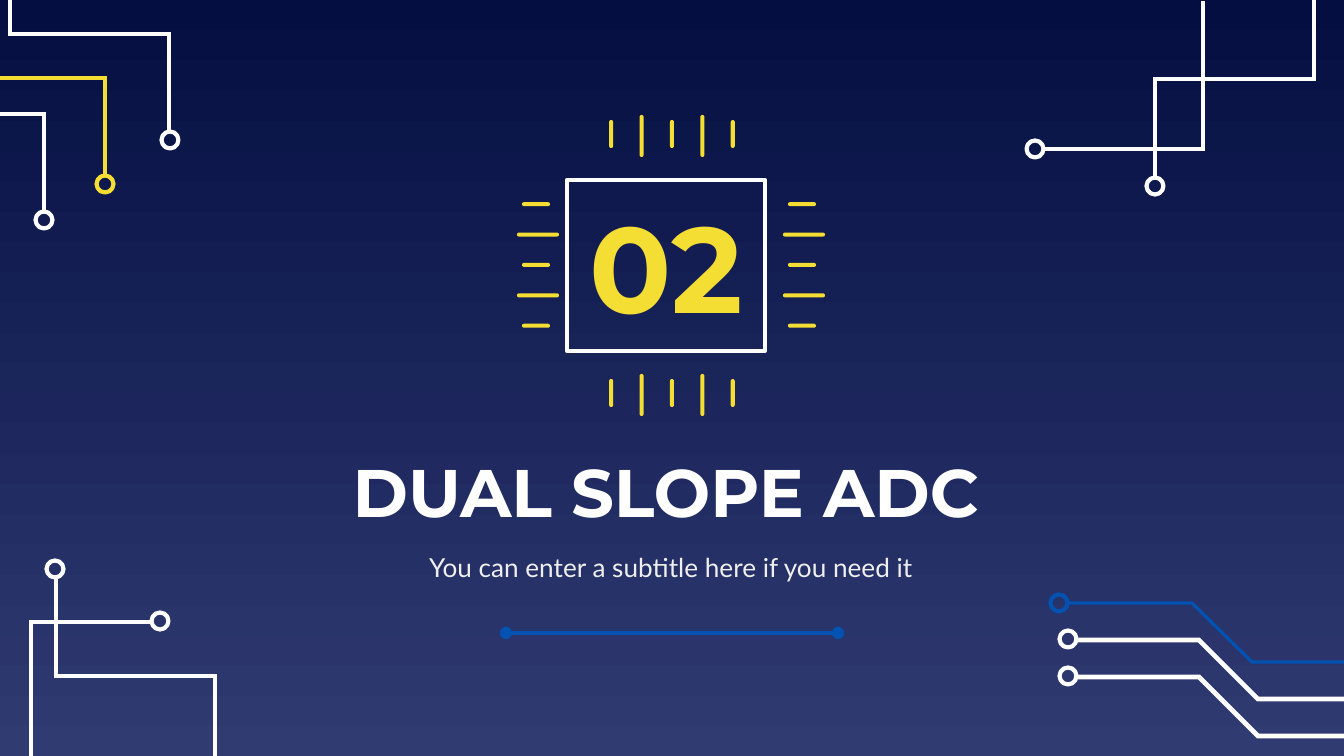
"""Build the circuit-themed section slide for the dual slope ADC."""
from lxml import etree
from pptx import Presentation
from pptx.dml.color import RGBColor
from pptx.enum.shapes import MSO_CONNECTOR, MSO_SHAPE
from pptx.enum.text import MSO_ANCHOR, MSO_AUTO_SIZE, PP_ALIGN
from pptx.oxml.ns import qn
from pptx.util import Emu, Pt

SCALE = 914400 / 134.4
WIDTH, HEIGHT = 1344, 756
RECTANGLE, PILL, OVAL = MSO_SHAPE.RECTANGLE, MSO_SHAPE.ROUNDED_RECTANGLE, MSO_SHAPE.OVAL
STRAIGHT = MSO_CONNECTOR.STRAIGHT
MIDDLE, CENTER, NO_FIT = MSO_ANCHOR.MIDDLE, PP_ALIGN.CENTER, MSO_AUTO_SIZE.NONE

WHITE, YELLOW, BLUE, PALE = "FFFFFF", "F5DE34", "0152B1", "EFEFEF"
BACKGROUND = ["040E41", "303B72"]
LINE = 2.25

TITLE = ("DUAL SLOPE ADC", (296, 446, 740, 90))
SUBTITLE = ("You can enter a subtitle here if you need it", (368, 536, 606, 62))
NUMBER = ("02", (567, 180, 198, 171))
DIVIDER = ((506, 633), (838, 633))

TRACES = [
    (BLUE, 1.75, (1059, 603), [(1068, 603), (1192, 603), (1252, 662), (WIDTH, 662)]),
    (WHITE, 2.5, (1068, 639), [(1075, 640), (1199, 640), (1258, 699), (WIDTH, 699)]),
    (WHITE, 2.5, (1068, 676), [(1075, 677), (1199, 677), (1258, 736), (WIDTH, 736)]),
    (WHITE, LINE, (55, 569), [(56, 576), (56, 676), (215, 676), (215, HEIGHT)]),
    (WHITE, LINE, (160, 621), [(152, 622), (31, 622), (31, HEIGHT)]),
    (WHITE, LINE, (1035, 149), [(1042, 149), (1203, 149), (1203, 1)]),
    (WHITE, LINE, (1155, 186), [(1155, 179), (1155, 79), (1314, 79), (1314, 0)]),
    (WHITE, LINE, (44, 220), [(44, 213), (44, 114), (0, 114)]),
    (YELLOW, LINE, (105, 184), [(105, 177), (105, 78), (0, 78)]),
    (WHITE, LINE, (170, 140), [(169, 133), (169, 34), (10, 34), (10, 0)]),
]
RING = 17

PIN_LENGTHS = [28, 42, 28, 42, 28]
PIN_WIDTH, PIN_PITCH, SHORT_SHIFT = 4, 30.4, 2
PIN_ROWS = [("upright", 672, 136), ("upright", 672, 395),
            ("flat", 538, 265), ("flat", 804, 265)]


def px(value):
    return Emu(round(value * SCALE))


def color(value):
    return RGBColor.from_string(value)


def set_line(line, value, width):
    line.color.rgb = color(value)
    line.width = Pt(width)


def add_shape(page, kind, box, fill=None, outline=None):
    shape = page.shapes.add_shape(kind, *map(px, box))
    shape.shadow.inherit = False
    if fill:
        shape.fill.solid()
        shape.fill.fore_color.rgb = color(fill)
    else:
        shape.fill.background()
    if outline:
        set_line(shape.line, outline, LINE)
    else:
        shape.line.fill.background()
    return shape


def write(shape, text, size, font, ink, bold=False):
    frame = shape.text_frame
    frame.auto_size = NO_FIT
    frame.word_wrap = True
    frame.vertical_anchor = MIDDLE
    frame.margin_left = frame.margin_right = px(13)
    frame.margin_top = frame.margin_bottom = px(13)
    para = frame.paragraphs[0]
    para.alignment = CENTER
    para.space_before = Pt(0)
    span = para.add_run()
    span.text = text
    span.font.size = Pt(size)
    span.font.name = font
    span.font.bold = bold
    span.font.color.rgb = color(ink)


def place(shape, box):
    shape.left, shape.top, shape.width, shape.height = map(px, box)


def add_trace(page, ink, width, ring, points):
    builder = page.shapes.build_freeform(*points[0], scale=SCALE)
    builder.add_line_segments(points[1:], close=False)
    trace = builder.convert_to_shape()
    trace.shadow.inherit = False
    trace.fill.background()
    set_line(trace.line, ink, width)
    etree.SubElement(trace.line._get_or_add_ln(), qn("a:miter"), lim="800000")
    x, y = ring
    add_shape(page, OVAL, (x - RING / 2, y - RING / 2, RING, RING), outline=ink)


def add_pins(page, direction, x, y):
    for index, length in enumerate(PIN_LENGTHS):
        offset = (index - 2) * PIN_PITCH
        shift = SHORT_SHIFT if length < max(PIN_LENGTHS) else 0
        if direction == "upright":
            left, top, width, height = x + offset, y - shift, PIN_WIDTH, length
        else:
            left, top, width, height = x - shift, y + offset, length, PIN_WIDTH
        box = (left - width / 2, top - height / 2, width, height)
        add_shape(page, PILL, box, fill=YELLOW).adjustments[0] = 0.5


def add_divider(page):
    (x1, y1), (x2, y2) = DIVIDER
    divider = page.shapes.add_connector(STRAIGHT, px(x1), px(y1), px(x2), px(y2))
    set_line(divider.line, BLUE, LINE)
    for end in ("a:headEnd", "a:tailEnd"):
        etree.SubElement(divider.line._get_or_add_ln(), qn(end), type="oval")
    etree.SubElement(divider._element.spPr, qn("a:effectLst"))


def main():
    deck = Presentation()
    deck.slide_width, deck.slide_height = px(WIDTH), px(HEIGHT)
    page = deck.slides.add_slide(deck.slide_layouts[0])

    fill = page.background.fill
    fill.gradient()
    fill.gradient_angle = 270
    for position, (stop, value) in enumerate(zip(fill.gradient_stops, BACKGROUND)):
        stop.position = position
        stop.color.rgb = color(value)

    for trace in TRACES:
        add_trace(page, *trace)
    for row in PIN_ROWS:
        add_pins(page, *row)
    add_divider(page)

    text, box = TITLE
    place(page.shapes.title, box)
    write(page.shapes.title, text, 36, "Montserrat", WHITE, bold=True)
    text, box = SUBTITLE
    place(page.placeholders[1], box)
    write(page.placeholders[1], text, 14, "Lato", PALE)
    text, box = NUMBER
    chip = add_shape(page, RECTANGLE, box, outline=WHITE)
    write(chip, text, 65, "Montserrat", YELLOW, bold=True)

    deck.save("out.pptx")


if __name__ == "__main__":
    main()
